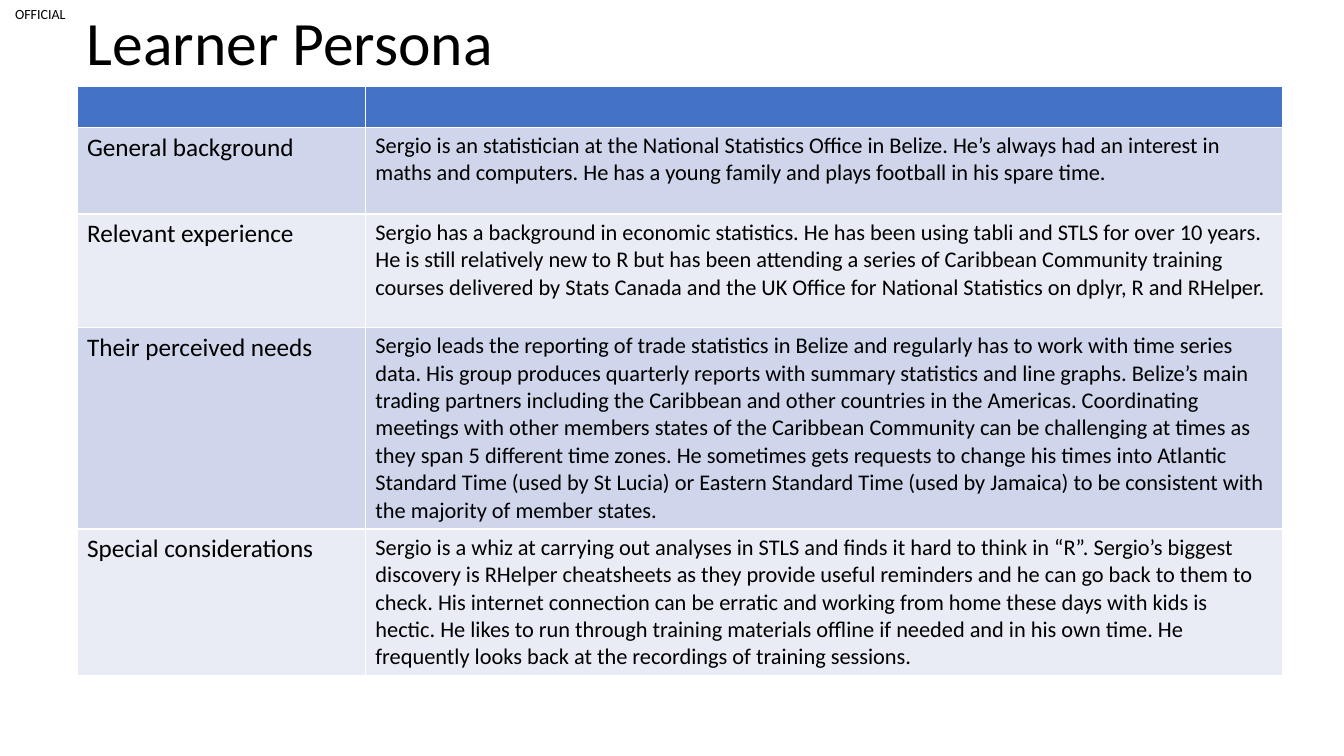
import pptx
import pptx.dml.color
import pptx.enum.text
import pptx.util

Pt = pptx.util.Pt
ALIGN = pptx.enum.text.PP_ALIGN
BLACK = pptx.dml.color.RGBColor(0x00, 0x00, 0x00)
HEADER_BLUE = pptx.dml.color.RGBColor(0x44, 0x72, 0xC4)
BAND_DARK = pptx.dml.color.RGBColor(0xCF, 0xD5, 0xEA)
BAND_LIGHT = pptx.dml.color.RGBColor(0xE9, 0xEB, 0xF5)
FONT = "Calibri"

COL_WIDTHS = [206, 655]
HEADER_HEIGHT = 28.8
# Row height, heading, description
PERSONA = [
    (62, "General background",
     "Sergio is an statistician at the National Statistics Office in Belize. "
     "He’s always had an interest in maths and computers. He has a young "
     "family and plays football in his spare time."),
    (81, "Relevant experience",
     "Sergio has a background in economic statistics. He has been using tabli "
     "and STLS for over 10 years. He is still relatively new to R but has been "
     "attending a series of Caribbean Community training courses delivered by "
     "Stats Canada and the UK Office for National Statistics on dplyr, R and "
     "RHelper."),
    (144, "Their perceived needs",
     "Sergio leads the reporting of trade statistics in Belize and regularly "
     "has to work with time series data. His group produces quarterly reports "
     "with summary statistics and line graphs. Belize’s main trading partners "
     "including the Caribbean and other countries in the Americas. Coordinating "
     "meetings with other members states of the Caribbean Community can be "
     "challenging at times as they span 5 different time zones. He sometimes "
     "gets requests to change his times into Atlantic Standard Time (used by "
     "St Lucia) or Eastern Standard Time (used by Jamaica) to be consistent "
     "with the majority of member states."),
    (105, "Special considerations",
     "Sergio is a whiz at carrying out analyses in STLS and finds it hard to "
     "think in “R”. Sergio’s biggest discovery is RHelper cheatsheets as they "
     "provide useful reminders and he can go back to them to check. His "
     "internet connection can be erratic and working from home these days with "
     "kids is hectic. He likes to run through training materials offline if "
     "needed and in his own time. He frequently looks back at the recordings "
     "of training sessions."),
]


def add_run(p, text, size):
    r = p.add_run()
    r.text = text
    r.font.name = FONT
    r.font.size = Pt(size)
    r.font.color.rgb = BLACK


def add_label(slide, box, text, size, align=ALIGN.LEFT, inset=7.2):
    """Add one vertically centred line of text; box is left, top, width, height."""
    sp = slide.shapes.add_textbox(*map(Pt, box))
    tf = sp.text_frame
    tf.word_wrap = True
    tf.vertical_anchor = pptx.enum.text.MSO_ANCHOR.MIDDLE
    tf.margin_left = tf.margin_right = Pt(inset)
    tf.margin_top = tf.margin_bottom = Pt(inset / 2)
    p = tf.paragraphs[0]
    p.alignment = align
    p.line_spacing = 0.9
    add_run(p, text, size)


def fill_cell(cell, color):
    cell.fill.solid()
    cell.fill.fore_color.rgb = color


def add_persona_table(slide, left, top):
    heights = [HEADER_HEIGHT] + [height for height, _, _ in PERSONA]
    frame = slide.shapes.add_table(
        len(heights), len(COL_WIDTHS), Pt(left), Pt(top),
        Pt(sum(COL_WIDTHS)), Pt(sum(heights)))
    table = frame.table
    for col, width in zip(table.columns, COL_WIDTHS):
        col.width = Pt(width)
    for row, height in zip(table.rows, heights):
        row.height = Pt(height)
    for cell in table.rows[0].cells:
        fill_cell(cell, HEADER_BLUE)
    for i, (_, heading, description) in enumerate(PERSONA, start=1):
        band = BAND_DARK if i % 2 else BAND_LIGHT
        for j, (text, size) in enumerate([(heading, 18), (description, 16)]):
            cell = table.cell(i, j)
            fill_cell(cell, band)
            add_run(cell.text_frame.paragraphs[0], text, size)


def main():
    prs = pptx.Presentation()
    prs.slide_width = Pt(960)
    prs.slide_height = Pt(540)
    slide = prs.slides.add_slide(prs.slide_layouts[6])
    add_label(slide, (0, 0, 57.6, 21), "OFFICIAL", 10, ALIGN.CENTER, inset=0)
    add_label(slide, (55, 3, 828, 59), "Learner Persona", 44)
    add_persona_table(slide, 55, 62)
    prs.save("out.pptx")


if __name__ == "__main__":
    main()
